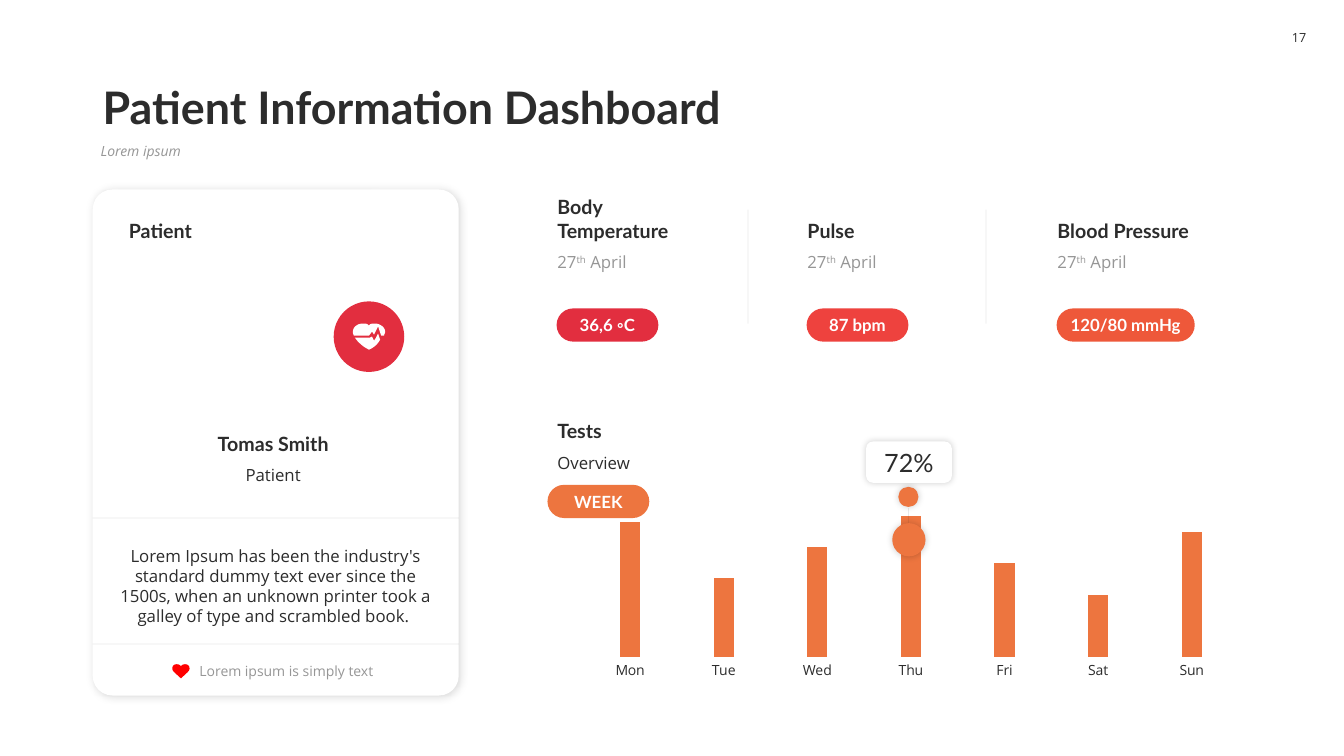
from lxml.etree import SubElement
from pptx import Presentation
from pptx.chart.data import CategoryChartData
from pptx.dml.color import RGBColor
from pptx.enum.chart import XL_CHART_TYPE as ChartType, XL_TICK_MARK as Tick
from pptx.enum.shapes import MSO_CONNECTOR as Connector, MSO_SHAPE as Shape
from pptx.enum.text import MSO_ANCHOR as Anchor, PP_ALIGN as Align
from pptx.oxml.ns import qn
from pptx.util import Inches, Pt

INK = RGBColor(0x2C, 0x2C, 0x2C)
GREY = RGBColor(0x96, 0x96, 0x96)
WHITE = RGBColor(0xFF, 0xFF, 0xFF)
CRIMSON = RGBColor(0xE2, 0x2E, 0x3F)
CORAL = RGBColor(0xEE, 0x42, 0x3E)
TOMATO = RGBColor(0xEE, 0x58, 0x3A)
ORANGE = RGBColor(0xED, 0x75, 0x3F)
RED = RGBColor(0xFF, 0x00, 0x00)

HEADING = dict(name="Lato", size=Pt(14), bold=True, color=INK)
TITLE = dict(HEADING, size=Pt(32))
PILL = dict(HEADING, size=Pt(12), color=WHITE)
CALLOUT = dict(name="Lato", size=Pt(18), color=INK)
BODY = dict(name="Open Sans", size=Pt(12), color=INK)
DATE = dict(BODY, color=GREY)
FOOTNOTE = dict(DATE, size=Pt(10))
SUBTITLE = dict(FOOTNOTE, italic=True)
PAGE = dict(BODY, size=Pt(9))

# Outlines in hundredths of an inch: two numbers are a line, six a curve
SMALL_HEART = [[
    (179.5, 673), (186, 667),
    (187.5, 665.5, 188, 664.5, 188, 663), (188, 660.5, 186, 659, 184, 659),
    (182, 659, 180.5, 659.5, 179.5, 661), (178.5, 659.5, 177, 659, 175, 659),
    (173, 659, 171, 660.5, 171, 663), (171, 664.5, 171.5, 665.5, 173, 667),
]]
PULSE_HEART = [
    [(375, 331), (377, 337), (376, 339, 373, 344, 366, 347),
     (358, 343, 354, 338, 352, 335), (367, 335), (369, 334), (371, 338), (373, 335)],
    [(360, 321), (362, 321, 364, 321, 366, 323), (367, 321, 370, 321, 372, 321),
     (377, 321, 382, 325, 382, 329), (382, 331, 381, 331, 381, 333), (378, 333),
     (375, 324), (371, 332), (369, 329), (366, 333), (351, 333),
     (350, 331, 350, 330, 350, 329), (350, 325, 354, 321, 360, 321)],
]


def apply_font(font, style):
    for key, value in style.items():
        if key == "color":
            font.color.rgb = value
        else:
            setattr(font, key, value)


def write(frame, text, style, align=Align.LEFT, anchor=Anchor.TOP, inset=(0.1, 0.05), spacing=1.0):
    """Fill a text frame; text may be a list of (words, baseline) pairs."""
    side, edge = map(Inches, inset)
    settings = dict(word_wrap=True, vertical_anchor=anchor, margin_left=side,
                    margin_right=side, margin_top=edge, margin_bottom=edge)
    for key, value in settings.items():
        setattr(frame, key, value)
    paragraph = frame.paragraphs[0]
    paragraph.alignment = align
    paragraph.line_spacing = spacing
    for words, baseline in [(text, 0)] if isinstance(text, str) else text:
        run = paragraph.add_run()
        run.text = words
        apply_font(run.font, style)
        if baseline:
            run.font._element.set("baseline", str(baseline))


def add_text(slide, box, text, style, **layout):
    write(slide.shapes.add_textbox(*map(Inches, box)).text_frame, text, style, **layout)


def add_shadow(shape, alpha, blur, distance):
    effects = shape._element.spPr.find(qn("a:effectLst"))
    shadow = SubElement(effects, qn("a:outerShdw"), blurRad=str(Pt(blur)), dist=str(Pt(distance)),
                        dir="2700000", algn="tl", rotWithShape="0")
    color = SubElement(shadow, qn("a:srgbClr"), val="000000")
    SubElement(color, qn("a:alpha"), val=str(alpha * 1000))


def add_block(slide, kind, box, fill, corner=None, shadow=None):
    block = slide.shapes.add_shape(kind, *map(Inches, box))
    block.shadow.inherit = False
    block.fill.solid()
    block.fill.fore_color.rgb = fill
    block.line.fill.background()
    if corner is not None:
        block.adjustments[0] = corner
    if shadow:
        add_shadow(block, *shadow)
    return block


def add_pill(slide, left, top, text, fill, width=1.01):
    pill = add_block(slide, Shape.ROUNDED_RECTANGLE, (left, top, width, 0.33), fill, corner=0.5)
    write(pill.text_frame, text, PILL, align=Align.CENTER, anchor=Anchor.MIDDLE, inset=(0, 0))


def add_rule(slide, *ends):
    rule = slide.shapes.add_connector(Connector.STRAIGHT, *map(Inches, ends))
    rule.line.width = Pt(0.5)
    rule.line.color.rgb = INK
    properties = rule._element.spPr
    SubElement(next(properties.iter(qn("a:srgbClr"))), qn("a:alpha"), val="10000")
    SubElement(properties, qn("a:effectLst"))


def trace(contour, steps=8):
    """Turn lines and cubic curves into points in thousandths of an inch."""
    points = [contour[0]]
    for segment in contour[1:]:
        if len(segment) == 2:
            points.append(segment)
            continue
        anchors = [points[-1], segment[:2], segment[2:4], segment[4:]]
        for step in range(1, steps + 1):
            t = step / steps
            weights = ((1 - t) ** 3, 3 * t * (1 - t) ** 2, 3 * t * t * (1 - t), t ** 3)
            points.append(tuple(sum(w * a[axis] for w, a in zip(weights, anchors))
                                for axis in (0, 1)))
    return [(x * 10, y * 10) for x, y in points]


def add_outline(slide, contours, fill):
    first, *others = map(trace, contours)
    builder = slide.shapes.build_freeform(*first[0], scale=Inches(1) / 1000)
    builder.add_line_segments(first[1:], close=True)
    for points in others:
        builder.move_to(*points[0])
        builder.add_line_segments(points[1:], close=True)
    outline = builder.convert_to_shape()
    outline.shadow.inherit = False
    outline.fill.solid()
    outline.fill.fore_color.rgb = fill
    outline.line.fill.background()


def add_week_chart(slide):
    week = CategoryChartData()
    week.categories = ["Mon", "Tue", "Wed", "Thu", "Fri", "Sat", "Sun"]
    week.add_series("Series 1", (96, 56, 78, 100, 67, 44, 89))
    box = map(Inches, (5.65, 4.94, 6.77, 1.84))
    chart = slide.shapes.add_chart(ChartType.COLUMN_CLUSTERED, *box, week).chart
    chart.has_legend = chart.has_title = False
    apply_font(chart.font, BODY)
    plot = chart.plots[0]
    plot.gap_width, plot.overlap, plot.vary_by_categories = 360, -30, False
    bars = plot.series[0].format.fill
    bars.solid()
    bars.fore_color.rgb = ORANGE
    days, values = chart.category_axis, chart.value_axis
    days.major_tick_mark = days.minor_tick_mark = Tick.NONE
    days.format.line.fill.background()
    apply_font(days.tick_labels.font, dict(BODY, size=Pt(10)))
    values.visible = values.has_major_gridlines = False
    values.minimum_scale, values.maximum_scale = 0, 100
    # Fixed inner plot area
    area = chart._chartSpace.chart.plotArea
    for old in area.findall(qn("c:layout")):
        area.remove(old)
    layout = SubElement(area, qn("c:layout"))
    area.insert(0, layout)
    manual = SubElement(layout, qn("c:manualLayout"))
    for tag, value in dict(layoutTarget="inner", xMode="edge", yMode="edge",
                           x="0.02", y="0.1", w="0.96", h="0.76").items():
        SubElement(manual, qn("c:" + tag), val=value)


def add_patient_card(slide):
    add_block(slide, Shape.ROUNDED_RECTANGLE, (0.92, 1.88, 3.63, 5.02), WHITE,
              corner=0.054, shadow=(15, 6, 1))
    add_text(slide, (1.18, 2.11, 3.2, 0.34), "Patient", HEADING, anchor=Anchor.BOTTOM)
    add_text(slide, (1.71, 4.23, 2, 0.34), "Tomas Smith", HEADING, align=Align.CENTER, anchor=Anchor.BOTTOM)
    add_text(slide, (1.71, 4.56, 2, 0.3), "Patient", BODY, align=Align.CENTER)
    for y in (5.14, 6.39):
        add_rule(slide, 0.92, y, 4.55, y)
    add_text(slide, (1.08, 5.36, 3.31, 0.91),
             "Lorem Ipsum has been the industry's standard dummy text ever since the 1500s, "
             "when an unknown printer took a galley of type and scrambled book. ",
             BODY, align=Align.CENTER)
    add_outline(slide, SMALL_HEART, RED)
    add_text(slide, (1.88, 6.52, 1.96, 0.27), "Lorem ipsum is simply text", FOOTNOTE, anchor=Anchor.MIDDLE)
    add_block(slide, Shape.OVAL, (3.31, 2.99, 0.7, 0.7), CRIMSON)
    add_outline(slide, PULSE_HEART, WHITE)


def add_vital(slide, left, name, reading, fill, width):
    add_text(slide, (left, 1.88, 1.66, 0.57), name, HEADING, anchor=Anchor.BOTTOM)
    add_text(slide, (left, 2.45, 1.66, 0.3), [("27", 0), ("th", 30000), (" April", 0)], DATE)
    add_pill(slide, left + 0.09, 3.06, reading, fill, width)


def add_tests(slide):
    add_text(slide, (5.43, 4.1, 2.86, 0.34), "Tests", HEADING, anchor=Anchor.BOTTOM)
    add_text(slide, (5.43, 4.44, 2.86, 0.3), "Overview", BODY)
    add_week_chart(slide)
    # Marker on Thursday
    soft = (20, 5, 0)
    add_block(slide, Shape.OVAL, (8.85, 5.19, 0.33, 0.33), ORANGE, shadow=soft)
    add_rule(slide, 9.01, 5.04, 9.01, 5.19)
    add_block(slide, Shape.OVAL, (8.91, 4.83, 0.2, 0.2), ORANGE, shadow=soft)
    callout = add_block(slide, Shape.ROUNDED_RECTANGLE, (8.59, 4.38, 0.85, 0.41), WHITE, shadow=soft)
    write(callout.text_frame, "72%", CALLOUT, align=Align.CENTER, anchor=Anchor.MIDDLE, inset=(0.08, 0.05))
    add_pill(slide, 5.43, 4.81, "WEEK", ORANGE)


def main():
    deck = Presentation()
    deck.slide_width, deck.slide_height = Inches(13.33), Inches(7.5)
    slide = deck.slides.add_slide(deck.slide_layouts[6])
    # Header
    add_text(slide, (0.92, 0.58, 11.5, 0.8), "Patient Information Dashboard", TITLE,
             anchor=Anchor.BOTTOM, spacing=0.9)
    add_text(slide, (0.9, 1.38, 11.52, 0.36), "Lorem ipsum", SUBTITLE, spacing=0.9)
    add_text(slide, (12.69, 0.18, 0.39, 0.39), "17", PAGE, align=Align.CENTER,
             anchor=Anchor.MIDDLE, inset=(0, 0.05))
    add_patient_card(slide)
    # Vital signs
    vitals = [("Body Temperature", "36,6 ◦C", CRIMSON, 1.01),
              ("Pulse", "87 bpm", CORAL, 1.01),
              ("Blood Pressure", "120/80 mmHg", TOMATO, 1.37)]
    for column, vital in enumerate(vitals):
        add_vital(slide, 5.43 + 2.48 * column, *vital)
    for x in (7.42, 9.78):
        add_rule(slide, x, 2.08, x, 3.21)
    add_tests(slide)
    deck.save("out.pptx")


if __name__ == "__main__":
    main()
